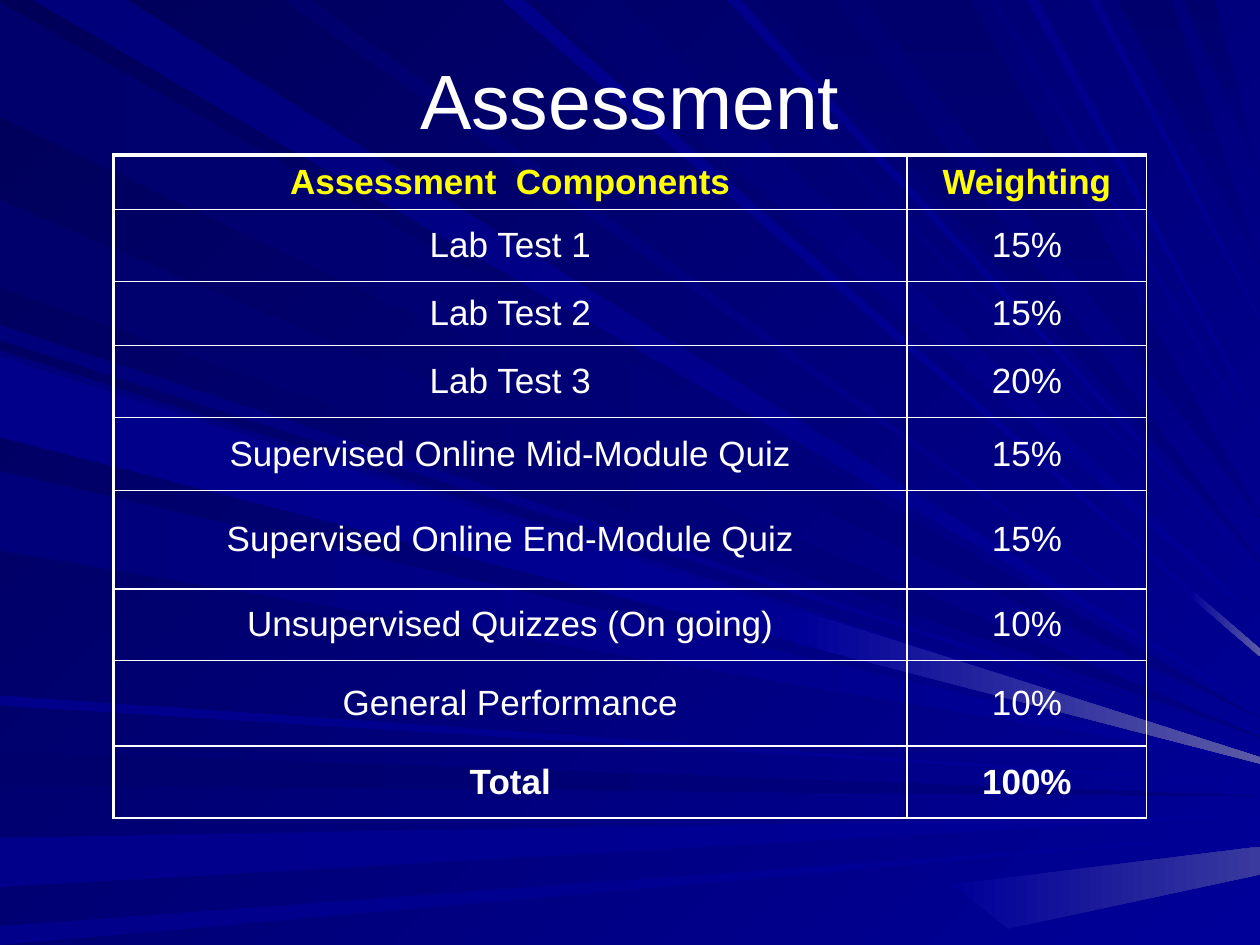
from pptx import Presentation
from pptx.dml.color import RGBColor as RGB
from pptx.enum.text import MSO_ANCHOR as Anchor, PP_ALIGN as Align
from pptx.oxml import parse_xml
from pptx.oxml.ns import nsdecls
from pptx.util import Inches, Pt

WHITE = RGB(0xFF, 0xFF, 0xFF)
YELLOW = RGB(0xFF, 0xFF, 0x00)
NIGHT = RGB(0x00, 0x00, 0x58)
INK = RGB(0x00, 0x00, 0x6D)
NAVY = RGB(0x00, 0x00, 0x7B)
DEEP = RGB(0x00, 0x00, 0x80)
SOFT = RGB(0x00, 0x00, 0x8A)
BLUE = RGB(0x00, 0x00, 0x99)
DIM = RGB(0x39, 0x39, 0x9E)
GLOW = RGB(0x5A, 0x5A, 0xA6)


def shade(fill, start, end, angle):
    """Fill with a two-stop gradient; the angle runs clockwise in degrees."""
    fill.gradient()
    fill.gradient_angle = -angle % 360
    for stop, color in zip(fill.gradient_stops, (start, end)):
        stop.color.rgb = color


def draw_ray(corners, start, end, angle):
    points = [(Inches(x), Inches(y)) for x, y in corners]
    pen = slide.shapes.build_freeform(*points[0])
    pen.add_line_segments(points[1:], close=True)
    ray = pen.convert_to_shape()
    ray.shadow.inherit = False
    ray.line.fill.background()
    shade(ray.fill, start, end, angle)


# Rays run from a stretch of the left or top edge to a tip on the right edge
LEFT = [
    (0.02, 0.93, 5.7, INK, DEEP),
    (5.96, 6.23, 6.32, INK, DEEP),
    (6.65, 7.04, 6.47, SOFT, BLUE),
    (7.35, 7.5, 6.62, SOFT, BLUE),
    (2.58, 2.7, 5.89, NAVY, BLUE),
    (1.59, 2.28, 5.85, INK, DEEP),
    (2.78, 3.42, 6, NAVY, BLUE),
    (3.74, 4.37, 6.05, NAVY, BLUE),
    (5.52, 5.6, 6.22, SOFT, BLUE),
    (2.83, 3.47, 6.04, SOFT, BLUE),
]
TOP = [
    (0.26, 1.01, 5.63, NAVY, BLUE),
    (2.25, 2.47, 5.5, INK, BLUE),
    (3.98, 4.16, 5.18, SOFT, BLUE),
    (4.26, 4.92, 4.93, INK, BLUE),
    (5.4, 5.52, 4.63, INK, BLUE),
    (5.77, 5.88, 4.54, SOFT, BLUE),
    (6.06, 6.61, 4.46, INK, DEEP),
    (6.86, 7.7, 4.1, INK, DEEP),
    (7.85, 7.92, 3.57, NAVY, BLUE),
    (8.15, 8.24, 3.36, SOFT, BLUE),
    (8.65, 8.72, 2.54, SOFT, BLUE),
    (8.87, 9.3, 2.1, INK, DEEP),
    (9.39, 9.64, 1.4, INK, DEEP),
]
# Bright ends of rays near the right edge
GLINTS = [
    ([(7.56, 7.02), (10, 6.72), (10, 6.94), (8, 7.37)], DIM),
    ([(6.37, 4.85), (10, 6.01), (10, 6.06), (6.33, 5.11)], GLOW),
    ([(9.47, 4.69), (10, 5.15), (10, 5.21), (9.44, 4.73)], GLOW),
]

# Table rows: height in inches, component, weighting
ROWS = [
    (0.41, "Assessment  Components", "Weighting"),
    (0.57, "Lab Test 1", "15%"),
    (0.51, "Lab Test 2", "15%"),
    (0.57, "Lab Test 3", "20%"),
    (0.58, "Supervised Online Mid-Module Quiz", "15%"),
    (0.78, "Supervised Online End-Module Quiz", "15%"),
    (0.57, "Unsupervised Quizzes (On going)", "10%"),
    (0.68, "General Performance", "10%"),
    (0.57, "Total", "100%"),
]

prs = Presentation()
prs.slide_width, prs.slide_height = Inches(10), Inches(7.5)
slide = prs.slides.add_slide(prs.slide_layouts[6])
shade(slide.background.fill, NIGHT, BLUE, 45)

for near, far, tip, start, end in LEFT:
    draw_ray([(0, near), (10, tip), (0, far)], start, end, 0)
for near, far, tip, start, end in TOP:
    draw_ray([(near, 0), (10, tip), (far, 0)], start, end, 90 if end == DEEP else 45)
for corners, end in GLINTS:
    draw_ray(corners, BLUE, end, 0)

title = slide.shapes.add_textbox(Inches(0.5), Inches(0.16), Inches(9), Inches(1.25))
frame = title.text_frame
frame.word_wrap = True
frame.vertical_anchor = Anchor.MIDDLE
para = frame.paragraphs[0]
para.text = "Assessment"
para.alignment = Align.CENTER
for name, value in {"name": "Arial", "size": Pt(44)}.items():
    setattr(para.font, name, value)
para.font.color.rgb = WHITE

table = slide.shapes.add_table(
    len(ROWS), 2, Inches(0.9), Inches(1.23), Inches(8.2), Inches(5.24)).table
table.first_row = table.horz_banding = False
for col, width in zip(table.columns, (6.3, 1.9)):
    col.width = Inches(width)

for r, (height, *texts) in enumerate(ROWS):
    table.rows[r].height = Inches(height)
    look = {"name": "Arial", "size": Pt(20), "bold": r in (0, len(ROWS) - 1)}
    for c, text in enumerate(texts):
        cell = table.cell(r, c)
        cell.fill.background()
        cell.vertical_anchor = Anchor.MIDDLE
        para = cell.text_frame.paragraphs[0]
        para.text = text
        para.alignment = Align.CENTER
        for name, value in look.items():
            setattr(para.font, name, value)
        para.font.color.rgb = WHITE if r else YELLOW

        widths = {"L": 1 if c else 2.25, "R": 1, "T": 1 if r else 2.25, "B": 1}
        props = cell._tc.get_or_add_tcPr()
        for i, (side, width) in enumerate(widths.items()):
            props.insert(i, parse_xml(
                f'<a:ln{side} {nsdecls("a")} w="{Pt(width)}"><a:solidFill>'
                f'<a:srgbClr val="{WHITE}"/></a:solidFill></a:ln{side}>'))

prs.save("out.pptx")
